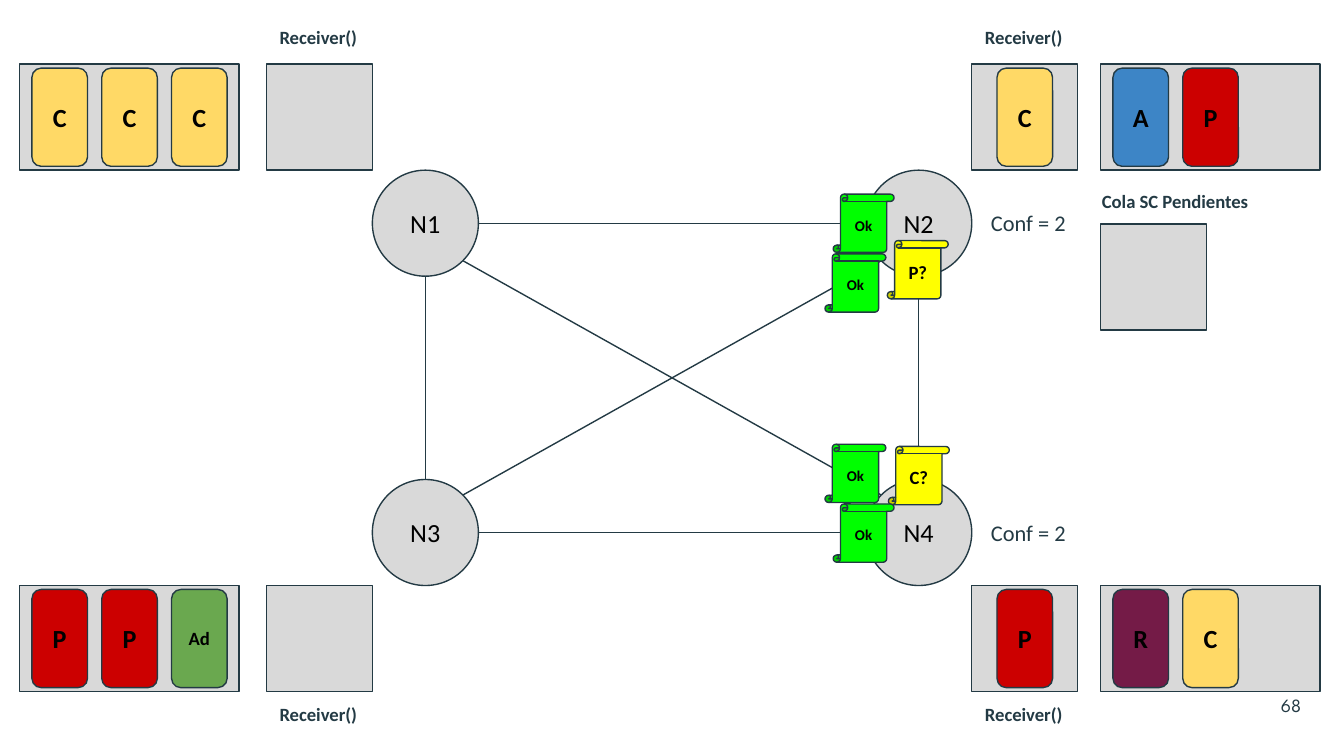
from math import hypot

from lxml.etree import SubElement
from pptx import Presentation
from pptx.dml.color import RGBColor
from pptx.enum.shapes import MSO_CONNECTOR, MSO_SHAPE
from pptx.enum.text import MSO_ANCHOR, MSO_AUTO_SIZE, PP_ALIGN
from pptx.oxml.ns import qn
from pptx.util import Pt

INK = RGBColor(0x23, 0x3A, 0x44)
BLACK = RGBColor(0, 0, 0)
GRAY = RGBColor(0xD9, 0xD9, 0xD9)
GOLD = RGBColor(0xFF, 0xD9, 0x66)
RED = RGBColor(0xCC, 0, 0)
LEAF = RGBColor(0x6A, 0xA8, 0x4F)
BLUE = RGBColor(0x3D, 0x85, 0xC6)
PLUM = RGBColor(0x74, 0x1B, 0x47)
LIME = RGBColor(0, 0xFF, 0)
YELLOW = RGBColor(0xFF, 0xFF, 0)

FILLS = {"C": GOLD, "P": RED, "Ad": LEAF, "A": BLUE, "R": PLUM}
SIZES = {"Ad": 10, "Ok": 8, "P?": 10, "C?": 10}

# name: (column, row, queued cards, received card)
NODES = {
    "N1": (0, 0, ["C", "C", "C"], None),
    "N2": (1, 0, ["A", "P"], "C"),
    "N3": (0, 1, ["P", "P", "Ad"], None),
    "N4": (1, 1, ["R", "C"], "P"),
}
LINKS = [("N1", "N2"), ("N1", "N3"), ("N1", "N4"),
         ("N3", "N4"), ("N2", "N4"), ("N3", "N2")]
# text, fill, left, top: side by side, clear of the node names
SCROLLS = [
    ("Ok", LIME, 446.4, 104), ("Ok", LIME, 442, 136),
    ("C?", YELLOW, 476, 239.2), ("P?", YELLOW, 475.4, 128.9),
    ("Ok", LIME, 442, 238), ("Ok", LIME, 446.4, 270),
]

SIDE = 56.8                  # nodes and square boxes
NODE_X, NODE_Y = (199.5, 463.8), (91.2, 256.9)
BOX_X = (NODE_X[0] - SIDE, NODE_X[1] + SIDE)
BOX_Y = (NODE_Y[0] - SIDE, NODE_Y[1] + SIDE)
QUEUE_X, QUEUE_W = (10.5, 589.6), 117.6
CARD_W, CARD_H = 29.8, 52.6
CARD_IN, STEP = 6.6, 37.4
LABEL_H = 26.6


def style(frame, text, size, color, bold, align, anchor, face="Calibri"):
    frame.margin_left = frame.margin_right = Pt(7.2)
    frame.margin_top = frame.margin_bottom = Pt(7.2)
    frame.vertical_anchor = anchor
    line = frame.paragraphs[0]
    line.text = text
    line.alignment = align
    font = line.font
    font.name, font.size, font.bold = face, Pt(size), bold
    font.color.rgb = color


def block(slide, kind, x, y, w, h, fill=GRAY, text="", bold=True):
    item = slide.shapes.add_shape(kind, Pt(x), Pt(y), Pt(w), Pt(h))
    item.shadow.inherit = False
    item.fill.solid()
    item.fill.fore_color.rgb = fill
    item.line.color.rgb = INK
    item.line.width = Pt(0.75)
    if text:
        style(item.text_frame, text, SIZES.get(text, 14), BLACK, bold,
              PP_ALIGN.CENTER, MSO_ANCHOR.MIDDLE)
        item.text_frame.word_wrap = False


def label(slide, text, x, y, w, h=LABEL_H, size=10, bold=True):
    frame = slide.shapes.add_textbox(Pt(x), Pt(y), Pt(w), Pt(h)).text_frame
    frame.word_wrap = True
    frame.auto_size = MSO_AUTO_SIZE.SHAPE_TO_FIT_TEXT
    style(frame, text, size, INK, bold, PP_ALIGN.LEFT, MSO_ANCHOR.TOP)


def card(slide, text, x, y):
    block(slide, MSO_SHAPE.ROUNDED_RECTANGLE, x, y + (SIDE - CARD_H) / 2,
          CARD_W, CARD_H, FILLS[text], text)


def link(slide, start, end):
    """Join two nodes at the rim, leaving straight or at 45 degrees."""
    (ca, ra), (cb, rb) = NODES[start][:2], NODES[end][:2]
    dx, dy = cb - ca, rb - ra
    reach = SIDE / 2 / hypot(dx, dy)
    mid = SIDE / 2
    ends = (NODE_X[ca] + mid + dx * reach, NODE_Y[ra] + mid + dy * reach,
            NODE_X[cb] + mid - dx * reach, NODE_Y[rb] + mid - dy * reach)
    wire = slide.shapes.add_connector(MSO_CONNECTOR.STRAIGHT, *map(Pt, ends))
    wire.line.color.rgb = INK
    wire.line.width = Pt(0.75)
    SubElement(wire._element.spPr, qn("a:effectLst"))


def main():
    deck = Presentation()
    deck.slide_width, deck.slide_height = Pt(720), Pt(405)
    slide = deck.slides.add_slide(deck.slide_layouts[6])

    block(slide, MSO_SHAPE.RECTANGLE, QUEUE_X[1], 120, SIDE, SIDE)
    page = slide.shapes.add_textbox(Pt(661), Pt(362), Pt(43.2), Pt(31))
    page.text_frame.word_wrap = True
    style(page.text_frame, "68", 10, INK, False, PP_ALIGN.RIGHT,
          MSO_ANCHOR.MIDDLE, "League Spartan")

    for name, (col, row, _, _) in NODES.items():
        block(slide, MSO_SHAPE.OVAL, NODE_X[col], NODE_Y[row], SIDE, SIDE,
              text=name, bold=False)
    for start, end in LINKS:
        link(slide, start, end)

    for col, row, queue, got in NODES.values():
        x, y = BOX_X[col], BOX_Y[row]
        block(slide, MSO_SHAPE.RECTANGLE, x, y, SIDE, SIDE)
        block(slide, MSO_SHAPE.RECTANGLE, QUEUE_X[col], y, QUEUE_W, SIDE)
        label(slide, "Receiver()", x, y + SIDE if row else y - LABEL_H, SIDE)
        for i, text in enumerate(queue):
            card(slide, text, QUEUE_X[col] + CARD_IN + i * STEP, y)
        if got:
            card(slide, got, x + (SIDE - CARD_W) / 2, y)

    label(slide, "Cola SC Pendientes", 583.2, 95.5, 130.3)
    for text, fill, x, y in SCROLLS:
        block(slide, MSO_SHAPE.VERTICAL_SCROLL, x, y, 32.6, 31.2, fill, text)
    for top in NODE_Y:
        label(slide, "Conf = 2", 523.8, top + 13.8, SIDE, 28.8, 12, False)

    deck.save("out.pptx")


if __name__ == "__main__":
    main()
